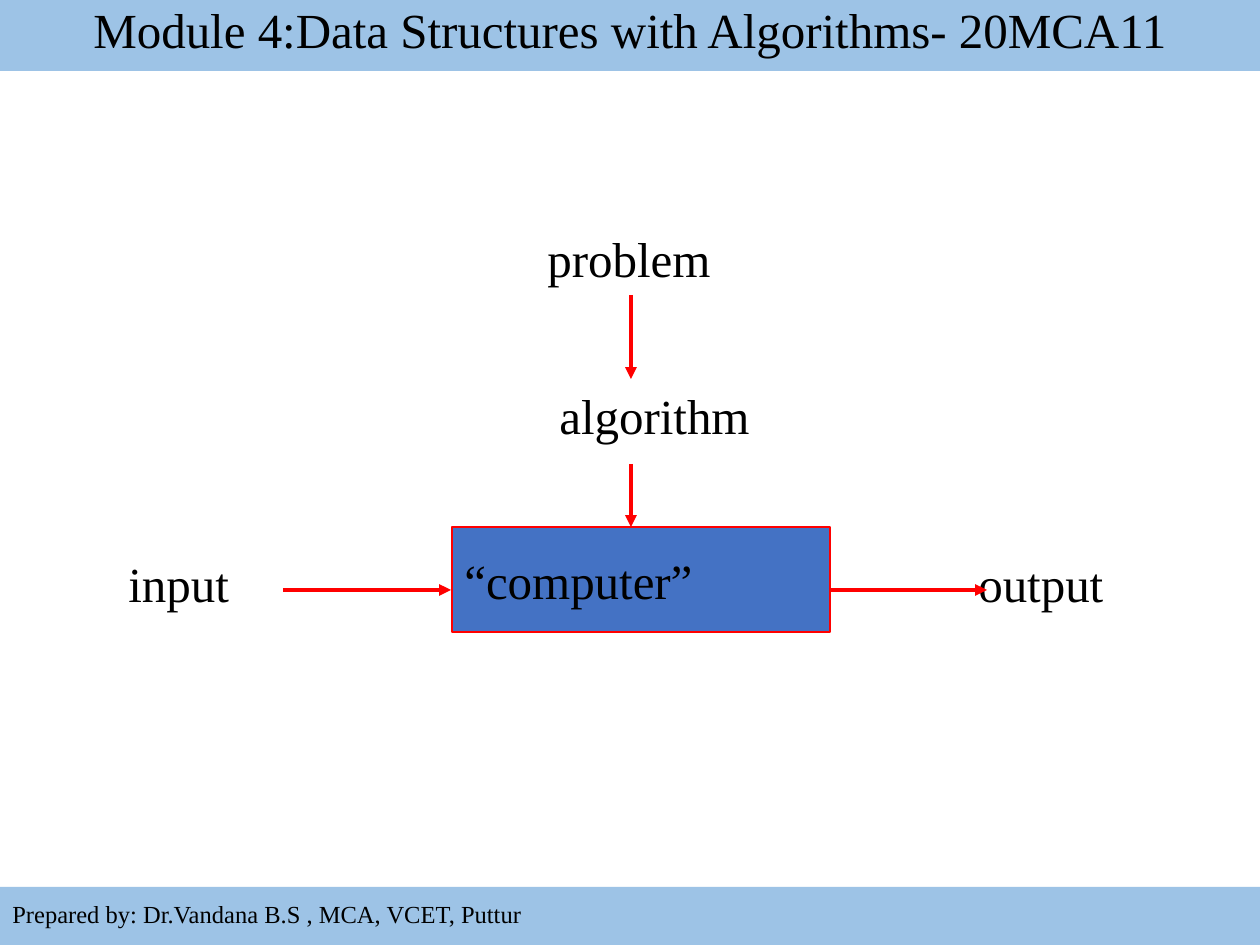
from lxml import etree
from pptx import Presentation
from pptx.dml.color import RGBColor
from pptx.enum.shapes import MSO_CONNECTOR, MSO_SHAPE
from pptx.enum.text import MSO_ANCHOR, MSO_AUTO_SIZE, PP_ALIGN
from pptx.oxml.ns import qn
from pptx.util import Pt

PX = 914400 // 126
SLIDE_WIDTH, SLIDE_HEIGHT = 1260, 945
FONT = "Times New Roman"
COLORS = {"text": "000000", "band": "9DC3E6", "box": "4472C4", "accent": "FF0000"}

STRAIGHT = MSO_CONNECTOR.STRAIGHT
RECTANGLE = MSO_SHAPE.RECTANGLE
TOP, MIDDLE = MSO_ANCHOR.TOP, MSO_ANCHOR.MIDDLE
LEFT, CENTER = PP_ALIGN.LEFT, PP_ALIGN.CENTER
FIT_SHAPE = MSO_AUTO_SIZE.SHAPE_TO_FIT_TEXT


def px(*lengths):
    return [length * PX for length in lengths]


def color(name):
    return RGBColor.from_string(COLORS[name])


def write_text(shape, text, size=28, anchor=TOP, align=LEFT, spacing=None, wrap=True):
    frame = shape.text_frame
    frame.word_wrap = wrap
    frame.vertical_anchor = anchor
    paragraph = frame.paragraphs[0]
    paragraph.alignment = align
    if spacing:
        paragraph.line_spacing = spacing
    run = paragraph.add_run()
    run.text = text
    run.font.name = FONT
    run.font.size = Pt(size)
    run.font.color.rgb = color("text")


def add_rectangle(slide, bounds, fill, line=None):
    shape = slide.shapes.add_shape(RECTANGLE, *px(*bounds))
    shape.shadow.inherit = False
    shape.fill.solid()
    shape.fill.fore_color.rgb = color(fill)
    if line:
        shape.line.color.rgb = color(line)
        shape.line.width = Pt(1)
    else:
        shape.line.fill.background()
    return shape


def add_label(slide, text, bounds, wrap=True):
    label = slide.shapes.add_textbox(*px(*bounds))
    write_text(label, text, wrap=wrap)
    label.text_frame.auto_size = FIT_SHAPE


def add_arrow(slide, start, end):
    arrow = slide.shapes.add_connector(STRAIGHT, *px(*start, *end))
    arrow.line.color.rgb = color("accent")
    arrow.line.width = Pt(2.25)
    etree.SubElement(arrow.line._get_or_add_ln(), qn("a:tailEnd"), type="triangle")
    etree.SubElement(arrow._element.spPr, qn("a:effectLst"))


def main():
    presentation = Presentation()
    presentation.slide_width, presentation.slide_height = px(SLIDE_WIDTH, SLIDE_HEIGHT)
    slide = presentation.slides.add_slide(presentation.slide_layouts[6])

    # Computer box
    computer = add_rectangle(slide, (452, 527, 378, 105), "box", "accent")
    write_text(computer, "“computer”", anchor=MIDDLE, wrap=False)

    # Problem and algorithm lead down into the computer
    flow_x = 631
    for top, bottom in ((295, 379), (464, 527)):
        add_arrow(slide, (flow_x, top), (flow_x, bottom))
    add_label(slide, "problem", (535, 222, 189, 72))
    add_label(slide, "algorithm", (547, 379, 218, 72), wrap=False)

    # Input enters from the left, output leaves to the right
    add_label(slide, "input", (116, 547, 242, 72))
    add_label(slide, "output", (966, 547, 165, 72))
    data_y = 590
    for left, right in ((283, 451), (829, 987)):
        add_arrow(slide, (left, data_y), (right, data_y))

    # Header and footer bands
    header = add_rectangle(slide, (0, 0, SLIDE_WIDTH, 71), "band")
    write_text(header, "Module 4:Data Structures with Algorithms- 20MCA11",
               align=CENTER, spacing=0.9)
    footer_height = 58
    footer = add_rectangle(
        slide, (0, SLIDE_HEIGHT - footer_height, SLIDE_WIDTH, footer_height), "band")
    write_text(footer, "Prepared by: Dr.Vandana B.S , MCA, VCET, Puttur",
               size=14, anchor=MIDDLE, spacing=0.9)

    presentation.save("out.pptx")


if __name__ == "__main__":
    main()
